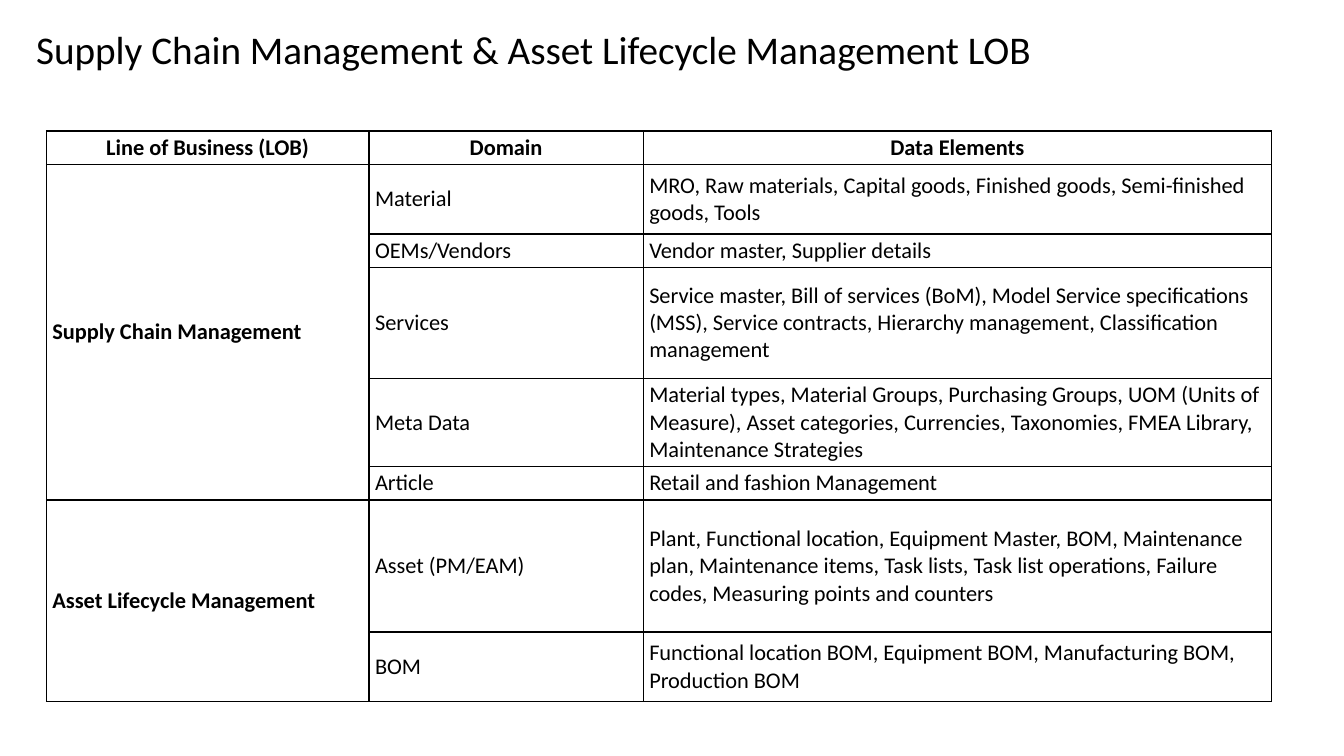
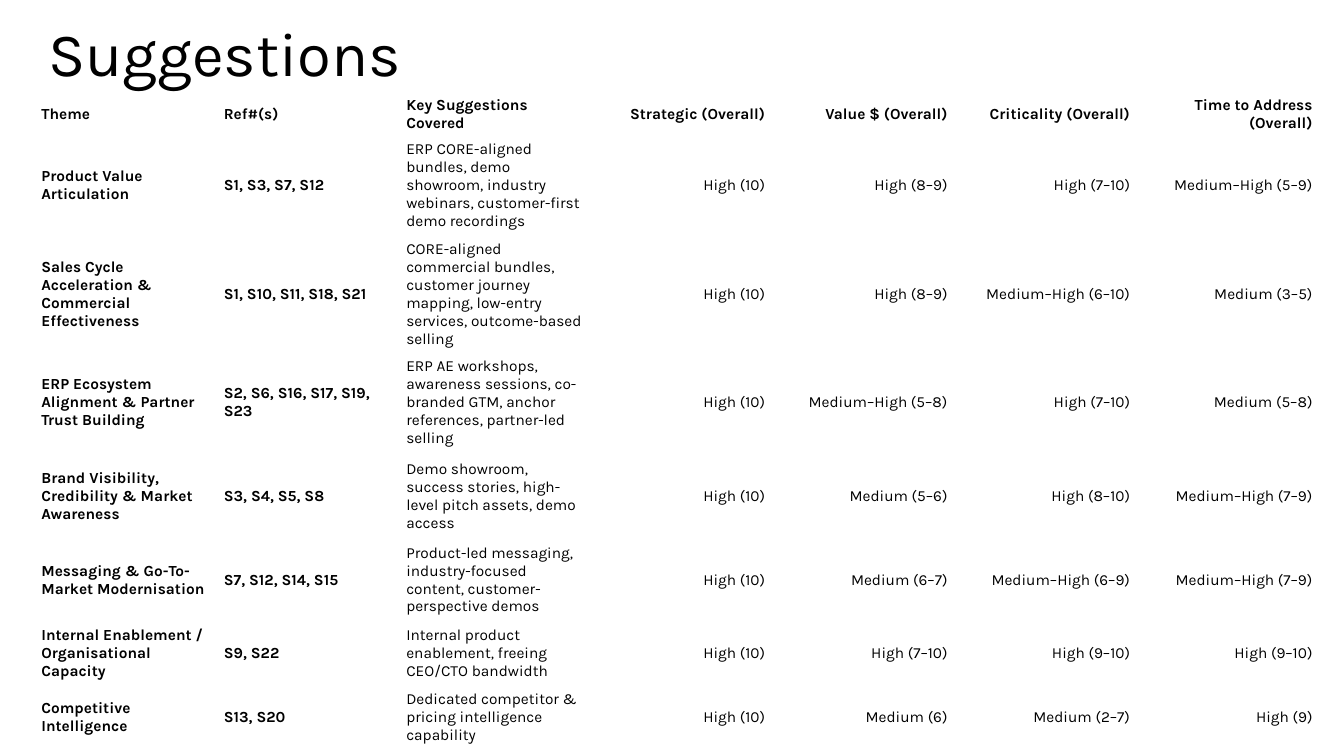
"""Build two slides of tables: lines of business and themed suggestions."""
import pptx
import pptx.util
import pptx.dml.color
import pptx.enum.text
import pptx.oxml
import pptx.oxml.ns

BLACK = pptx.dml.color.RGBColor(0, 0, 0)
WHITE = pptx.dml.color.RGBColor(255, 255, 255)
LEFT = pptx.enum.text.PP_ALIGN.LEFT
CENTER = pptx.enum.text.PP_ALIGN.CENTER
RIGHT = pptx.enum.text.PP_ALIGN.RIGHT
TOP = pptx.enum.text.MSO_ANCHOR.TOP
MIDDLE = pptx.enum.text.MSO_ANCHOR.MIDDLE
EMU_PER_PX = 9144
NO_TABLE_STYLE = "{2D5ABB26-0587-4C30-8999-92F81FD0307C}"

DOMAIN_HEADER = ("Line of Business (LOB)", "Domain", "Data Elements")
LINES_OF_BUSINESS = [
    ("Supply Chain Management", [
        ("Material", "MRO, Raw materials, Capital goods, Finished goods, Semi-finished goods, Tools"),
        ("OEMs/Vendors", "Vendor master, Supplier details"),
        ("Services", "Service master, Bill of services (BoM), Model Service specifications (MSS), "
                     "Service contracts, Hierarchy management, Classification management"),
        ("Meta Data", "Material types, Material Groups, Purchasing Groups, UOM (Units of Measure), "
                      "Asset categories, Currencies, Taxonomies, FMEA Library, Maintenance Strategies"),
        ("Article", "Retail and fashion Management"),
    ]),
    ("Asset Lifecycle Management", [
        ("Asset (PM/EAM)", "Plant, Functional location, Equipment Master, BOM, Maintenance plan, "
                           "Maintenance items, Task lists, Task list operations, Failure codes, "
                           "Measuring points and counters"),
        ("BOM", "Functional location BOM, Equipment BOM, Manufacturing BOM, Production BOM"),
    ]),
]

SUGGESTIONS = [
    ("Theme", "Ref#(s)", "Key Suggestions Covered", "Strategic (Overall)", "Value $ (Overall)",
     "Criticality (Overall)", "Time to Address (Overall)"),
    ("Product Value Articulation", "S1, S3, S7, S12",
     "ERP CORE-aligned bundles, demo showroom, industry webinars, customer-first demo recordings",
     "High (10)", "High (8–9)", "High (7–10)", "Medium–High (5–9)"),
    ("Sales Cycle Acceleration & Commercial Effectiveness", "S1, S10, S11, S18, S21",
     "CORE-aligned commercial bundles, customer journey mapping, low-entry services, outcome-based selling",
     "High (10)", "High (8–9)", "Medium–High (6–10)", "Medium (3–5)"),
    ("ERP Ecosystem Alignment & Partner Trust Building", "S2, S6, S16, S17, S19, S23",
     "ERP AE workshops, awareness sessions, co-branded GTM, anchor references, partner-led selling",
     "High (10)", "Medium–High (5–8)", "High (7–10)", "Medium (5–8)"),
    ("Brand Visibility, Credibility & Market Awareness", "S3, S4, S5, S8",
     "Demo showroom, success stories, high-level pitch assets, demo access",
     "High (10)", "Medium (5–6)", "High (8–10)", "Medium–High (7–9)"),
    ("Messaging & Go-To-Market Modernisation", "S7, S12, S14, S15",
     "Product-led messaging, industry-focused content, customer-perspective demos",
     "High (10)", "Medium (6–7)", "Medium–High (6–9)", "Medium–High (7–9)"),
    ("Internal Enablement / Organisational Capacity", "S9, S22",
     "Internal product enablement, freeing CEO/CTO bandwidth",
     "High (10)", "High (7–10)", "High (9–10)", "High (9–10)"),
    ("Competitive Intelligence", "S13, S20",
     "Dedicated competitor & pricing intelligence capability",
     "High (10)", "Medium (6)", "Medium (2–7)", "High (9)"),
]

DOMAIN_STYLE = {"font": "Calibri", "size": 16, "margins": (6, 3), "fill": WHITE, "border": 1,
                "bold_columns": 1, "header_aligns": (CENTER,) * 3, "aligns": (LEFT,) * 3}
SUGGESTION_ALIGNS = (LEFT,) * 3 + (RIGHT,) * 4
SUGGESTION_STYLE = {"font": "Karla", "size": 11, "margins": (3, 1), "fill": None, "border": 0,
                    "bold_columns": 2, "header_aligns": SUGGESTION_ALIGNS, "aligns": SUGGESTION_ALIGNS}


def px(length):
    """Turn whole pixels into EMU."""
    return pptx.util.Emu(length * EMU_PER_PX)


def write(frame, text, font, size, bold=False, align=LEFT, spacing=1.0):
    """Write one formatted paragraph into a text frame."""
    paragraph = frame.paragraphs[0]
    paragraph.text = text
    paragraph.alignment = align
    paragraph.line_spacing = spacing
    run_font = paragraph.runs[0].font
    for name, value in {"name": font, "size": pptx.util.Pt(size), "bold": bold}.items():
        setattr(run_font, name, value)
    run_font.color.rgb = BLACK


def add_title(slide, text, box, font, size, anchor=TOP, spacing=1.0):
    """Add the slide title."""
    frame = slide.shapes.add_textbox(*map(px, box)).text_frame
    frame.word_wrap = True
    frame.vertical_anchor = anchor
    write(frame, text, font, size, spacing=spacing)


def add_borders(cell, points):
    """Draw a solid black line on all four sides of a cell."""
    properties = cell._tc.get_or_add_tcPr()
    for index, side in enumerate("LRTB"):
        properties.insert(index, pptx.oxml.parse_xml(
            f'<a:ln{side} {pptx.oxml.ns.nsdecls("a")} w="{pptx.util.Pt(points)}">'
            f'<a:solidFill><a:srgbClr val="{BLACK}"/></a:solidFill></a:ln{side}>'))


def add_table(slide, rows, origin, widths, heights, style):
    """Add a plain table whose first row is a bold header."""
    box = (*origin, sum(widths), sum(heights))
    table = slide.shapes.add_table(len(rows), len(widths), *map(px, box)).table
    table.first_row = table.horz_banding = False
    table._tbl.tblPr.find(pptx.oxml.ns.qn("a:tableStyleId")).text = NO_TABLE_STYLE
    for column, width in zip(table.columns, widths):
        column.width = px(width)
    side, edge = map(px, style["margins"])
    cell_format = {"margin_left": side, "margin_right": side, "margin_top": edge,
                   "margin_bottom": edge, "vertical_anchor": MIDDLE}
    for row_index, (values, height) in enumerate(zip(rows, heights)):
        table.rows[row_index].height = px(height)
        aligns = style["aligns"] if row_index else style["header_aligns"]
        for column_index, text in enumerate(values):
            cell = table.cell(row_index, column_index)
            for name, value in cell_format.items():
                setattr(cell, name, value)
            if style["fill"] is None:
                cell.fill.background()
            else:
                cell.fill.solid()
                cell.fill.fore_color.rgb = style["fill"]
            if style["border"]:
                add_borders(cell, style["border"])
            if text:
                bold = row_index == 0 or column_index < style["bold_columns"]
                write(cell.text_frame, text, style["font"], style["size"], bold, aligns[column_index])
    return table


def build_domains(slide):
    """Fill the slide that lists domains for each line of business."""
    rows, spans = [DOMAIN_HEADER], []
    for business, domains in LINES_OF_BUSINESS:
        spans.append((len(rows), len(rows) + len(domains) - 1))
        rows += [("" if index else business, *domain) for index, domain in enumerate(domains)]
    table = add_table(slide, rows, (46, 130), (320, 272, 623),
                      (31, 69, 31, 110, 69, 31, 131, 69), DOMAIN_STYLE)
    for first, last in spans:
        table.cell(first, 0).merge(table.cell(last, 0))
    add_title(slide, "Supply Chain Management & Asset Lifecycle Management LOB",
              (26, 20, 1294, 57), "Calibri", 28)


def build_suggestions(slide):
    """Fill the slide that rates the suggestion themes."""
    add_title(slide, "Suggestions", (38, -16, 1150, 145), "Karla", 44, MIDDLE, 0.9)
    add_table(slide, SUGGESTIONS, (38, 94), (181,) * 7,
              (30, 103, 103, 103, 83, 83, 63, 63), SUGGESTION_STYLE)


def main():
    """Build and save the presentation."""
    presentation = pptx.Presentation()
    presentation.slide_width, presentation.slide_height = px(1333), px(750)
    for build in (build_domains, build_suggestions):
        build(presentation.slides.add_slide(presentation.slide_layouts[6]))
    presentation.save("out.pptx")


if __name__ == "__main__":
    main()
